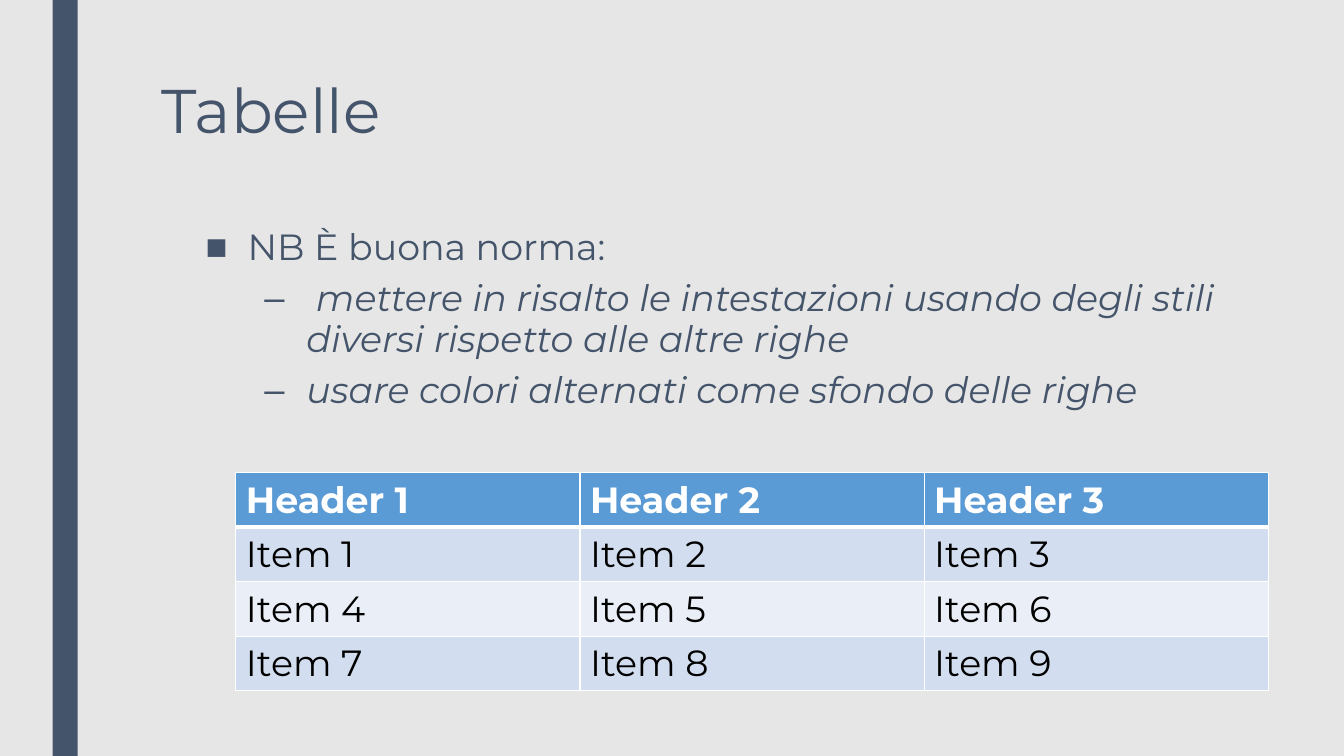
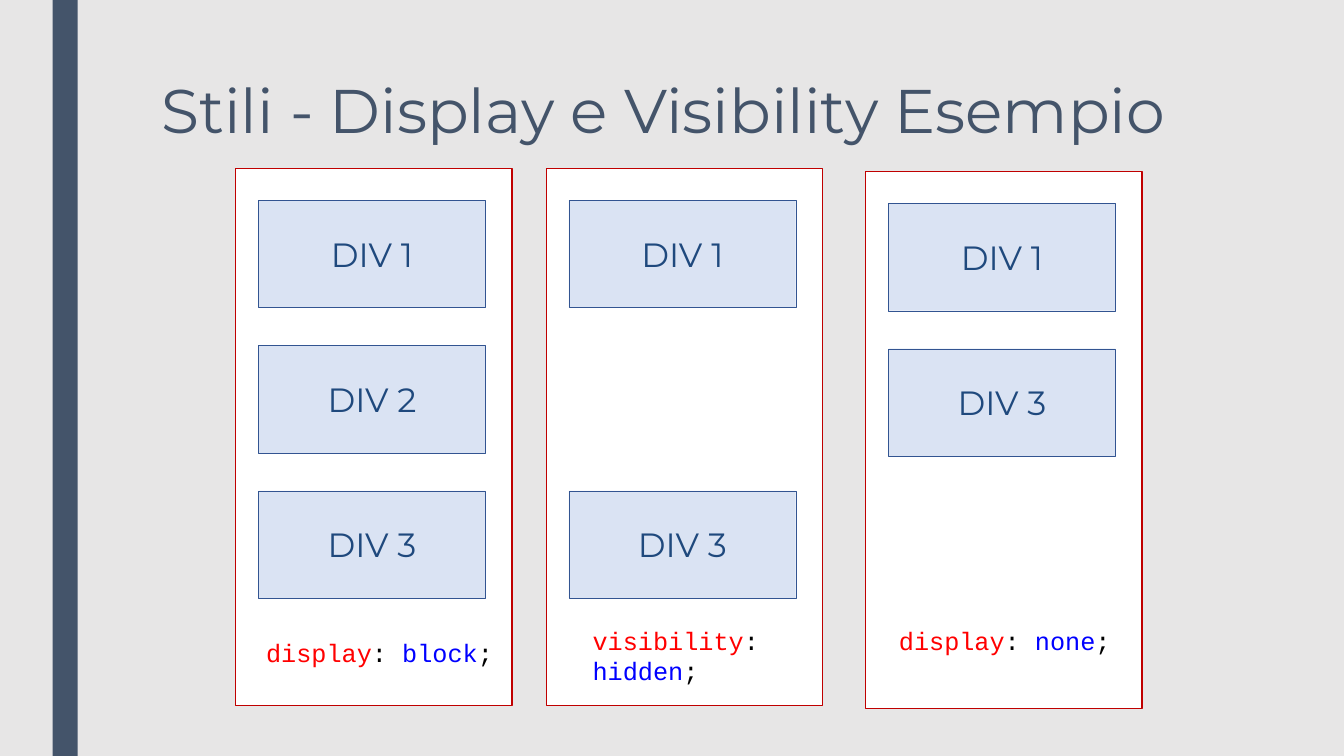
from dataclasses import dataclass

from lxml import etree
from pptx import Presentation
from pptx.dml.color import RGBColor
from pptx.enum.shapes import MSO_SHAPE
from pptx.enum.text import MSO_ANCHOR, MSO_AUTO_SIZE, PP_ALIGN
from pptx.oxml.ns import qn
from pptx.shapes.autoshape import Shape
from pptx.shapes.base import BaseShape
from pptx.slide import Slide
from pptx.table import _Cell
from pptx.text.text import TextFrame, _Paragraph
from pptx.util import Pt

RECT = MSO_SHAPE.RECTANGLE
TOP, MIDDLE = MSO_ANCHOR.TOP, MSO_ANCHOR.MIDDLE
LEFT, CENTER = PP_ALIGN.LEFT, PP_ALIGN.CENTER
NO_AUTOFIT = MSO_AUTO_SIZE.NONE

BACKGROUND = RGBColor(0xE7, 0xE6, 0xE6)
SLATE = RGBColor(0x44, 0x54, 0x6A)
WHITE = RGBColor(0xFF, 0xFF, 0xFF)
BLACK = RGBColor(0x00, 0x00, 0x00)
HEADER_FILL = RGBColor(0x5B, 0x9B, 0xD5)
ROW_FILLS = (RGBColor(0xD2, 0xDE, 0xEF), RGBColor(0xEA, 0xEF, 0xF7))
PANEL_LINE = RGBColor(0xC0, 0x00, 0x00)
DIV_FILL = RGBColor(0xDA, 0xE3, 0xF3)
DIV_LINE = RGBColor(0x32, 0x54, 0x91)
DIV_TEXT = RGBColor(0x1F, 0x49, 0x7D)
CODE_NAME = RGBColor(0xFF, 0x00, 0x00)
CODE_VALUE = RGBColor(0x00, 0x00, 0xFF)

SANS, MONO = "Montserrat", "Courier New"
SLIDE_W, SLIDE_H = 960, 540
TITLE_ONLY, TITLE_AND_BODY = 5, 1

PANEL_W, PANEL_H = 197.3, 383.8
DIV_W, DIV_H = 162, 76.6
DIV_DX, DIV_DY, DIV_PITCH = 16.2, 23, 103.7
LABEL_W = 181


@dataclass(frozen=True)
class Bullet:
    text: str
    level: int = 0


@dataclass(frozen=True)
class Panel:
    """Example column: one entry per row of divs, an empty one leaving a gap."""
    left: float
    top: float
    divs: tuple[str, ...]
    label_left: float
    label_top: float
    label: tuple[tuple[tuple[str, RGBColor], ...], ...]


BULLETS = (
    Bullet("NB È buona norma:"),
    Bullet(" mettere in risalto le intestazioni usando degli stili diversi "
           "rispetto alle altre righe", 1),
    Bullet("usare colori alternati come sfondo delle righe", 1),
)

PANELS = (
    Panel(168.5, 120.2, ("DIV 1", "DIV 2", "DIV 3"), 183, 451.4,
          ((("display", CODE_NAME), (": ", BLACK),
            ("block", CODE_VALUE), (";", BLACK)),)),
    Panel(390.2, 120.2, ("DIV 1", "", "DIV 3"), 416.2, 442.8,
          ((("visibility", CODE_NAME), (":", BLACK)),
           (("hidden", CODE_VALUE), (";", BLACK)))),
    Panel(618.5, 122.4, ("DIV 1", "DIV 3"), 635, 442.8,
          ((("display", CODE_NAME), (": ", BLACK),
            ("none", CODE_VALUE), (";", BLACK)),)),
)


def place(sp: BaseShape, left: float, top: float, width: float, height: float) -> None:
    sp.left, sp.top, sp.width, sp.height = Pt(left), Pt(top), Pt(width), Pt(height)


def add_run(p: _Paragraph, text: str, size: float, color: RGBColor,
            font: str = SANS, bold: bool = False, italic: bool = False) -> None:
    r = p.add_run()
    r.text = text
    r.font.name, r.font.size = font, Pt(size)
    r.font.bold, r.font.italic = bold, italic
    r.font.color.rgb = color


def next_paragraph(tf: TextFrame, index: int) -> _Paragraph:
    return tf.add_paragraph() if index else tf.paragraphs[0]


def add_rect(shapes, left: float, top: float, width: float, height: float,
             fill: RGBColor, line: RGBColor | None = None,
             line_width: float = 0.75) -> Shape:
    sp = shapes.add_shape(RECT, Pt(left), Pt(top), Pt(width), Pt(height))
    sp.shadow.inherit = False
    sp.fill.solid()
    sp.fill.fore_color.rgb = fill
    if line is None:
        sp.line.fill.background()
    else:
        sp.line.color.rgb = line
        sp.line.width = Pt(line_width)
    return sp


def add_slide(prs, layout: int, title: str) -> Slide:
    """Add a slide with the shared side band and title style."""
    s = prs.slides.add_slide(prs.slide_layouts[layout])
    add_rect(s.shapes, 37.5, 0, 18, SLIDE_H, SLATE)
    place(s.shapes.title, 108, 54, 756, 116.6)
    tf = s.shapes.title.text_frame
    tf.vertical_anchor, tf.auto_size = TOP, NO_AUTOFIT
    p = tf.paragraphs[0]
    p.alignment, p.line_spacing = LEFT, 0.89
    add_run(p, title, 44, SLATE)
    return s


def fill_body(s: Slide, bullets: tuple[Bullet, ...]) -> None:
    body = s.placeholders[1]
    place(body, 139.7, 159.1, 820.3, 151.2)
    tf = body.text_frame
    tf.vertical_anchor, tf.auto_size = TOP, NO_AUTOFIT
    for i, bullet in enumerate(bullets):
        p = next_paragraph(tf, i)
        p.level, p.line_spacing = bullet.level, 0.94
        p.space_before, p.space_after = Pt(5 if i else 0), Pt(2)
        pPr = p._p.get_or_add_pPr()
        pPr.set("marL", str(Pt(72 if bullet.level else 30)))
        pPr.set("indent", str(Pt(-30)))
        char = "–" if bullet.level else "■"
        etree.SubElement(pPr, qn("a:buChar")).set("char", char)
        add_run(p, bullet.text, 26, SLATE, italic=bullet.level > 0)


def set_borders(cell: _Cell, bottom: float) -> None:
    """Draw white 1 pt borders, with the given width at the bottom."""
    tcPr = cell._tc.get_or_add_tcPr()
    widths = {"a:lnL": 1, "a:lnR": 1, "a:lnT": 1, "a:lnB": bottom}
    for i, (tag, width) in enumerate(widths.items()):
        ln = etree.Element(qn(tag), w=str(Pt(width)))
        fill = etree.SubElement(ln, qn("a:solidFill"))
        etree.SubElement(fill, qn("a:srgbClr")).set("val", str(WHITE))
        tcPr.insert(i, ln)


def add_item_table(s: Slide, rows: int = 4, cols: int = 3) -> None:
    """Add a header row and numbered items in rows of alternating colour."""
    table = s.shapes.add_table(rows, cols, Pt(168.5), Pt(337.7),
                               Pt(737.4), Pt(153.6)).table
    for i in range(rows):
        for j in range(cols):
            header = i == 0
            cell = table.cell(i, j)
            cell.fill.solid()
            cell.fill.fore_color.rgb = (
                HEADER_FILL if header else ROW_FILLS[(i - 1) % 2])
            set_borders(cell, 3 if header else 1)
            text = f"Header {j + 1}" if header else f"Item {(i - 1) * cols + j + 1}"
            add_run(cell.text_frame.paragraphs[0], text, 26,
                    WHITE if header else BLACK, bold=header)


def add_panel(s: Slide, panel: Panel) -> None:
    shapes = s.shapes.add_group_shape().shapes
    add_rect(shapes, panel.left, panel.top, PANEL_W, PANEL_H, WHITE, PANEL_LINE)
    for row, text in enumerate(panel.divs):
        if not text:
            continue
        div = add_rect(shapes, panel.left + DIV_DX,
                       panel.top + DIV_DY + row * DIV_PITCH,
                       DIV_W, DIV_H, DIV_FILL, DIV_LINE, 0.25)
        div.text_frame.vertical_anchor = MIDDLE
        p = div.text_frame.paragraphs[0]
        p.alignment = CENTER
        add_run(p, text, 24, DIV_TEXT)
    tf = shapes.add_textbox(Pt(panel.label_left), Pt(panel.label_top), Pt(LABEL_W),
                            Pt(8 + 21.5 * len(panel.label))).text_frame
    tf.word_wrap = True
    for i, line in enumerate(panel.label):
        p = next_paragraph(tf, i)
        for text, color in line:
            add_run(p, text, 18, color, MONO)


def main() -> None:
    prs = Presentation()
    prs.slide_width, prs.slide_height = Pt(SLIDE_W), Pt(SLIDE_H)
    background = prs.slide_master.background.fill
    background.solid()
    background.fore_color.rgb = BACKGROUND

    s = add_slide(prs, TITLE_AND_BODY, "Tabelle")
    fill_body(s, BULLETS)
    add_item_table(s)

    s = add_slide(prs, TITLE_ONLY, "Stili - Display e Visibility Esempio")
    for panel in PANELS:
        add_panel(s, panel)

    prs.save("out.pptx")


if __name__ == "__main__":
    main()
